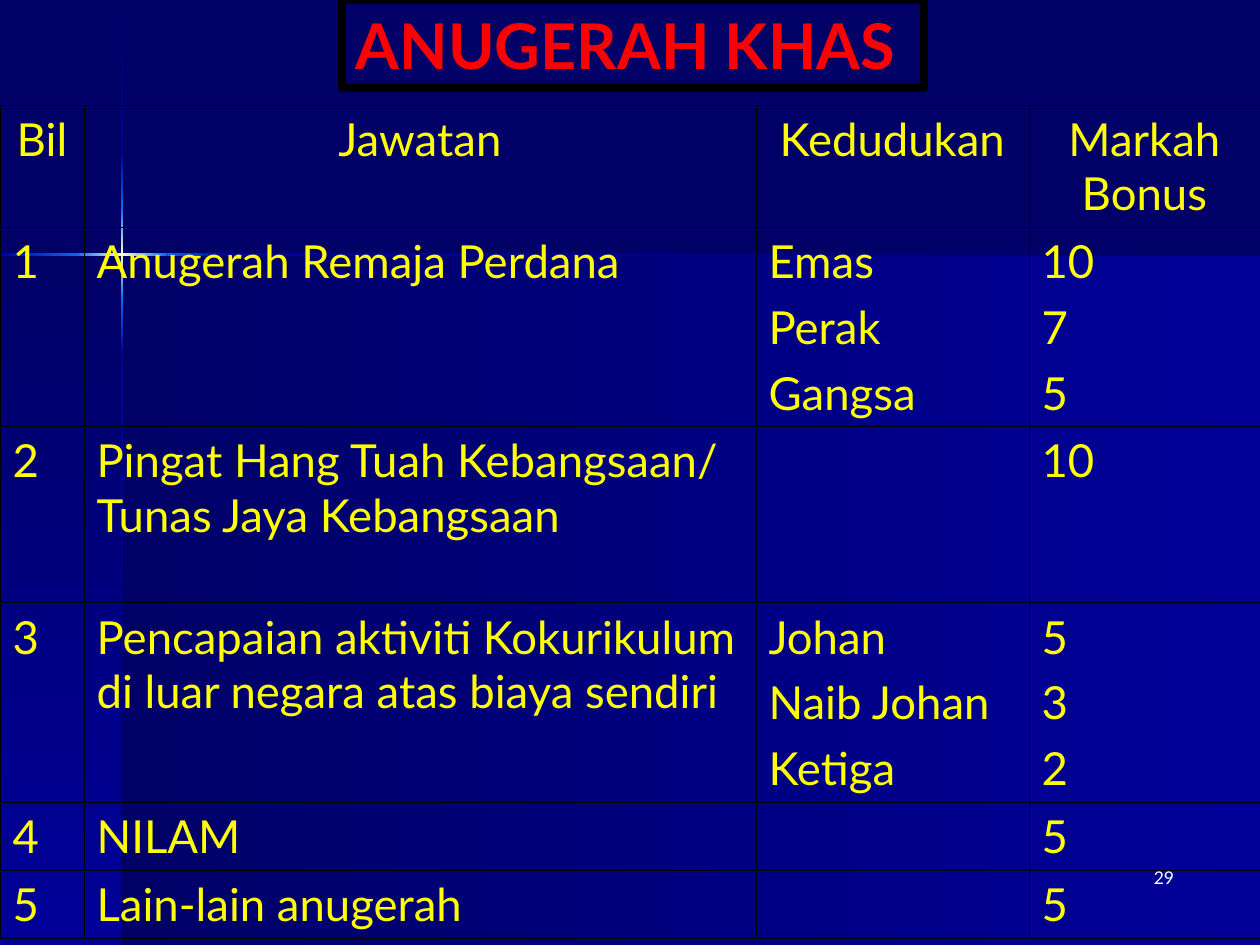
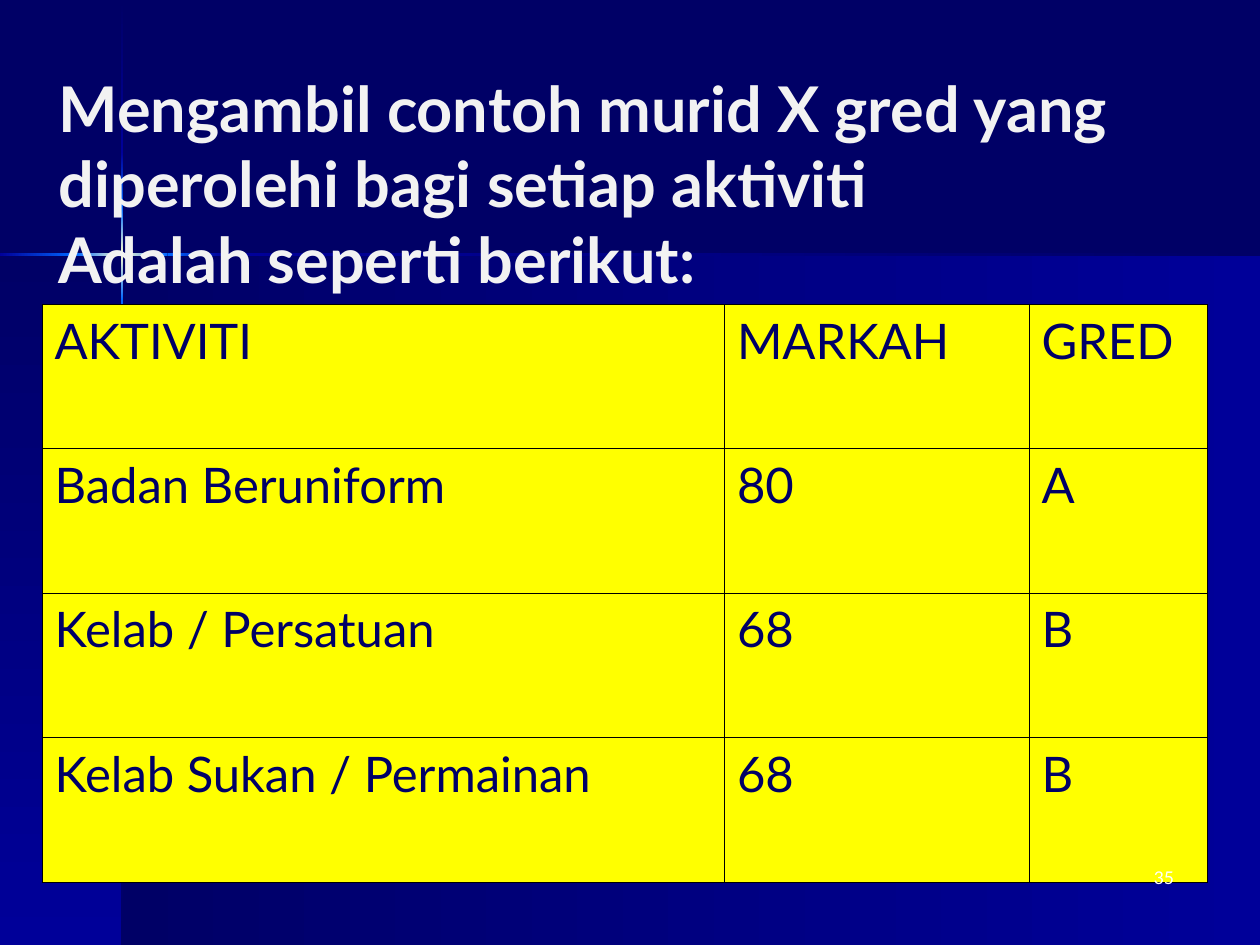
from copy import deepcopy
from dataclasses import dataclass

from lxml.etree import SubElement
from pptx import Presentation
from pptx.dml.color import RGBColor
from pptx.enum.shapes import MSO_SHAPE
from pptx.enum.text import MSO_ANCHOR, MSO_AUTO_SIZE, PP_ALIGN
from pptx.oxml.ns import qn
from pptx.util import Inches, Pt

COLUMNS, ROWS = 120, 90
CELL = Inches(10) / COLUMNS


@dataclass(frozen=True)
class Theme:
    font: str = "Lato"
    navy: str = "000066"
    royal: str = "000099"
    azure: str = "0066FF"
    cream: str = "FFFFCC"
    yellow: str = "FFFF00"
    red: str = "FF0000"
    pale: str = "F2F2F2"
    white: str = "FFFFFF"
    black: str = "000000"
    title_size: float = 36
    award_size: float = 26
    grade_size: float = 28
    number_size: float = 10
    frame_line: float = 4.5
    grid_line: float = 0.45


THEME = Theme()


@dataclass(frozen=True)
class Box:
    left: float
    top: float
    width: float
    height: float

    def lengths(self):
        return [grid(side) for side in (self.left, self.top, self.width, self.height)]


@dataclass(frozen=True)
class TableLook:
    size: float
    colour: str
    fill: str = ""
    header_align: PP_ALIGN = PP_ALIGN.LEFT


def grid(steps):
    return round(steps * CELL)


def rgb(colour):
    return RGBColor.from_string(colour)


def format_text(frame, size, colour, bold=False, align=PP_ALIGN.LEFT, gap=0):
    for index, para in enumerate(frame.paragraphs):
        para.alignment = align
        para.space_before = Pt(gap if index else 0)
        for span in para.runs:
            span.font.name = THEME.font
            span.font.size = Pt(size)
            span.font.bold = bold
            span.font.color.rgb = rgb(colour)


def add_gradient(page, box, colours, downward):
    band = page.shapes.add_shape(MSO_SHAPE.RECTANGLE, *box.lengths())
    band.shadow.inherit = False
    band.line.fill.background()
    band.fill.gradient()
    band.fill.gradient_angle = 270 if downward else 0
    stop_list = band.element.spPr.find(".//" + qn("a:gsLst"))
    while len(stop_list) < len(colours):
        stop_list.append(deepcopy(stop_list[0]))
    for index, stop in enumerate(band.fill.gradient_stops):
        stop.color.rgb = rgb(colours[index])
        stop.position = index / (len(colours) - 1)
    return band


def build_backdrop(deck, page):
    master = deck.slide_master
    master.background.fill.solid()
    master.background.fill.fore_color.rgb = rgb(THEME.navy)

    cross_x, cross_y, thickness = 11.64, 24.24, 0.24
    dusk = (THEME.navy, THEME.royal)
    dawn = (THEME.royal, THEME.azure)
    glow = (THEME.azure, THEME.cream, THEME.azure)
    arms = (dusk, dawn, glow, dawn[::-1], dusk[::-1])
    height_marks = (0, 14.52, 19.8, 28.56, 33.84, ROWS)
    width_marks = (0, 7.26, 15.96, 21.24, COLUMNS)

    below = ROWS - cross_y
    bands = [
        add_gradient(page, Box(cross_x, cross_y, COLUMNS - cross_x, below), dusk, False),
        add_gradient(page, Box(0, cross_y, cross_x, below), dusk, True),
    ]
    for start, end, colours in zip(height_marks, height_marks[1:], arms):
        box = Box(cross_x - thickness / 2, start, thickness, end - start)
        bands.append(add_gradient(page, box, colours, True))
    for start, end, colours in zip(width_marks, width_marks[1:], arms[1:]):
        box = Box(start, cross_y - thickness / 2, end - start, thickness)
        bands.append(add_gradient(page, box, colours, False))

    for number, band in enumerate(bands, 100):
        band.element.nvSpPr.cNvPr.set("id", str(number))
        master.shapes.element.append(band.element)


def place_title(page, box, text, colour, align=PP_ALIGN.LEFT, framed=False):
    title = page.shapes.title
    title.left, title.top, title.width, title.height = box.lengths()
    frame = title.text_frame
    frame.text = text
    frame.word_wrap = False
    frame.auto_size = MSO_AUTO_SIZE.NONE
    frame.vertical_anchor = MSO_ANCHOR.TOP
    format_text(frame, THEME.title_size, colour, True, align)
    if framed:
        title.line.color.rgb = rgb(THEME.black)
        title.line.width = Pt(THEME.frame_line)


def draw_borders(cell):
    properties = cell._tc.get_or_add_tcPr()
    for side in ("a:lnL", "a:lnR", "a:lnT", "a:lnB"):
        line = SubElement(properties, qn(side), w=str(Pt(THEME.grid_line)))
        fill = SubElement(line, qn("a:solidFill"))
        SubElement(fill, qn("a:srgbClr"), val=THEME.black)


def place_table(page, box, widths, heights, rows, look):
    table = page.shapes.add_table(len(rows), len(widths), *box.lengths()).table
    table.first_row = table.horz_banding = False
    for column, width in zip(table.columns, widths):
        column.width = grid(box.width * width / sum(widths))
    for row, height in zip(table.rows, heights):
        row.height = grid(box.height * height / sum(heights))
    for row_index, texts in enumerate(rows):
        align = PP_ALIGN.LEFT if row_index else look.header_align
        for column_index, text in enumerate(texts):
            cell = table.cell(row_index, column_index)
            cell.text = text
            format_text(cell.text_frame, look.size, look.colour,
                        align=align, gap=look.size / 4)
            draw_borders(cell)
            if look.fill:
                cell.fill.solid()
                cell.fill.fore_color.rgb = rgb(look.fill)
            else:
                cell.fill.background()


def place_number(page, number):
    box = Box(88, 82, 25, 6)
    frame = page.shapes.add_textbox(*box.lengths()).text_frame
    frame.word_wrap = True
    frame.text = str(number)
    format_text(frame, THEME.number_size, THEME.white, align=PP_ALIGN.RIGHT)


def build_awards(page):
    place_title(page, Box(32.6, 0, 55.4, 8.4), "ANUGERAH KHAS ", THEME.red,
                PP_ALIGN.CENTER, framed=True)
    rows = [
        ("Bil", "Jawatan", "Kedudukan", "Markah Bonus"),
        ("1", "Anugerah Remaja Perdana", "Emas\nPerak\nGangsa", "10\n7\n5"),
        ("2", "Pingat Hang Tuah Kebangsaan/ Tunas Jaya Kebangsaan", "", "10"),
        ("3", "Pencapaian aktiviti Kokurikulum di luar negara atas biaya sendiri",
         "Johan\nNaib Johan\nKetiga", "5\n3\n2"),
        ("4", "NILAM", "", "5"),
        ("5", "Lain-lain anugerah", "", "5"),
    ]
    look = TableLook(THEME.award_size, THEME.yellow, header_align=PP_ALIGN.CENTER)
    place_table(page, Box(0, 10, COLUMNS, 79.4), (8, 64, 26, 22),
                (11.6, 19, 16.8, 19, 6.5, 6.5), rows, look)
    place_number(page, 29)


def build_grades(page):
    place_title(page, Box(4.4, 6, 115.6, 22.8),
                "Mengambil contoh murid X gred yang\n"
                "diperolehi bagi setiap aktiviti\n"
                "Adalah seperti berikut:", THEME.pale)
    rows = [
        ("AKTIVITI", "MARKAH", "GRED"),
        ("Badan Beruniform", "80", "A"),
        ("Kelab / Persatuan", "68", "B"),
        ("Kelab Sukan / Permainan", "68", "B"),
    ]
    look = TableLook(THEME.grade_size, THEME.navy, THEME.yellow)
    place_table(page, Box(4, 29, 111, 55), (65, 29, 17), (1,) * len(rows), rows, look)
    place_number(page, 35)


def main():
    deck = Presentation()
    deck.slide_width = grid(COLUMNS)
    deck.slide_height = grid(ROWS)
    title_only = deck.slide_layouts[5]
    pages = [deck.slides.add_slide(title_only) for _ in range(2)]
    build_backdrop(deck, pages[0])
    build_awards(pages[0])
    build_grades(pages[1])
    deck.save("out.pptx")


if __name__ == "__main__":
    main()
